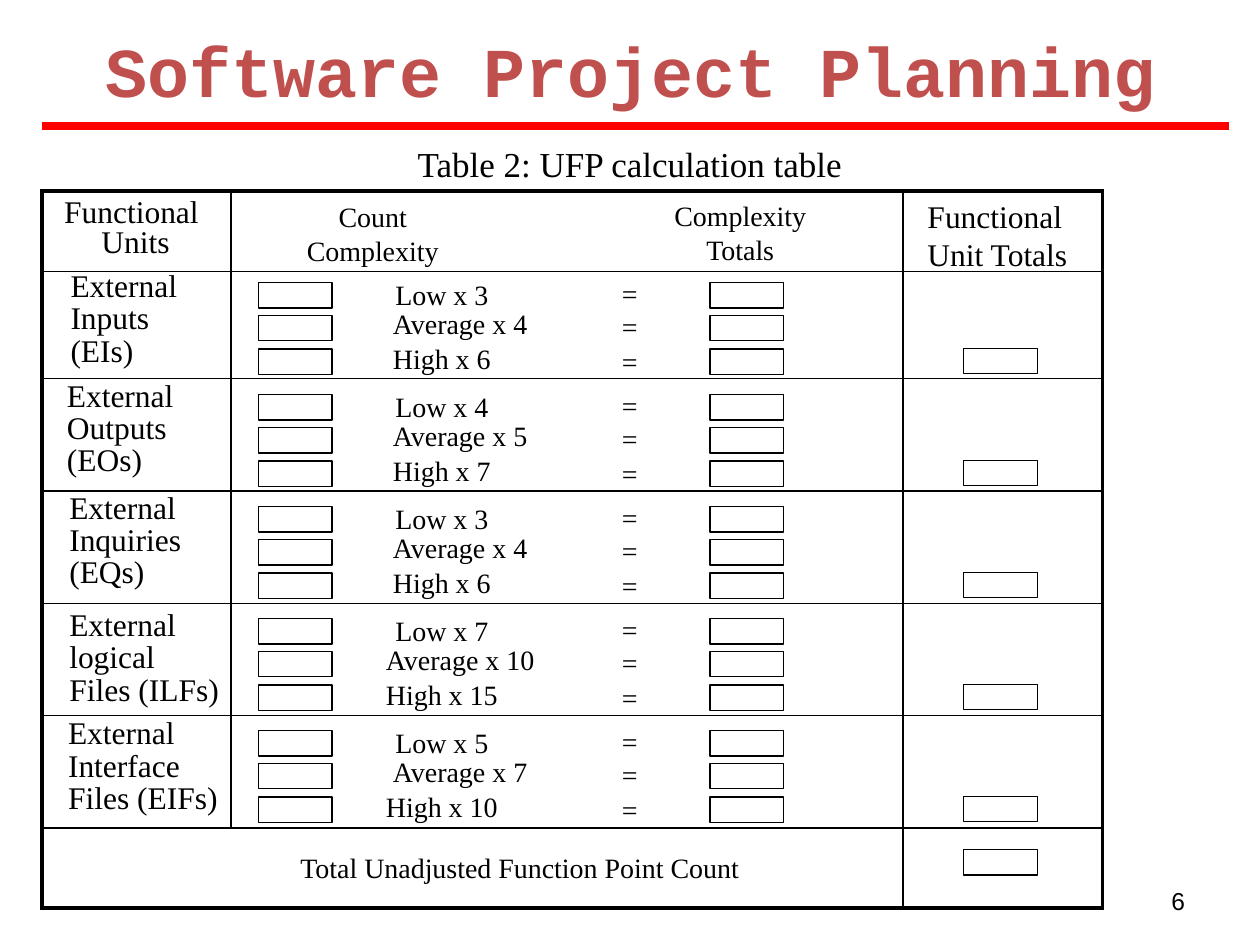
import pptx
import pptx.util
import pptx.dml.color
import pptx.enum.shapes
import pptx.enum.text
import pptx.oxml.ns
from lxml import etree

Pt = pptx.util.Pt
ALIGN = pptx.enum.text.PP_ALIGN
ANCHOR = pptx.enum.text.MSO_ANCHOR
SHAPE = pptx.enum.shapes.MSO_SHAPE
LINK = pptx.enum.shapes.MSO_CONNECTOR
COLORS = {"ink": "000000", "title": "C0504D", "rule": "FF0000"}
SERIF = "Times New Roman"
PITCH = 64
COLS = (108, 384, 114)
ROWS = (46, 61.2, 64.2, 64.2, 64.2, 64.2, 45.8)
UNITS = (
    (("External", "Inputs", "(EIs)"), (3, 4, 6), (40.3, 0.5)),
    (("External", "Outputs", "(EOs)"), (4, 5, 7), (38.2, -0.8)),
    (("External", "Inquiries", "(EQs)"), (3, 4, 6), (39.6, -0.8)),
    (("External", "logical", "Files (ILFs)"), (7, 10, 15), (39.6, 2.2)),
    (("External", "Interface", "Files (EIFs)"), (5, 7, 10), (38.9, 0)),
)
LEVELS = (
    ("Low", 216.5, 72, 3.6, 6.5, 2.8),
    ("Average", 214.7, 96.5, 20, 25.2, 22),
    ("High", 216.5, 72, 40, 44.5, 42),
)


def paint(name):
    """Return the named colour."""
    return pptx.dml.color.RGBColor.from_string(COLORS[name])


def write(slide, box, lines, size=16, align=ALIGN.CENTER, pad=0, gap=1.0,
          font=SERIF, color="ink", bold=False, anchor=ANCHOR.TOP):
    """Place lines of text in a box."""
    frame = slide.shapes.add_textbox(*map(Pt, box)).text_frame
    setup = {
        "word_wrap": True, "vertical_anchor": anchor,
        "margin_left": Pt(2 * pad), "margin_right": Pt(2 * pad),
        "margin_top": Pt(pad), "margin_bottom": Pt(pad),
    }
    for key, value in setup.items():
        setattr(frame, key, value)
    style = {"name": font, "size": Pt(size), "bold": bold}
    for num, line in enumerate(lines):
        para = frame.add_paragraph() if num else frame.paragraphs[0]
        para.alignment = align
        para.line_spacing = gap
        run = para.add_run()
        run.text = line
        for key, value in style.items():
            setattr(run.font, key, value)
        run.font.color.rgb = paint(color)


def draw_blank(slide, left, top):
    """Draw one empty entry box."""
    box = slide.shapes.add_shape(SHAPE.RECTANGLE, *map(Pt, (left, top, 42, 14.6)))
    box.shadow.inherit = False
    box.fill.background()
    box.line.color.rgb = paint("ink")
    box.line.width = Pt(0.75)


def set_edge(cell, side, width):
    """Set one border of a cell."""
    props = cell._tc.get_or_add_tcPr()
    tag = pptx.oxml.ns.qn
    edge = etree.SubElement(props, tag("a:ln" + side), w=str(Pt(width)))
    fill = etree.SubElement(edge, tag("a:solidFill"))
    etree.SubElement(fill, tag("a:srgbClr"), val=COLORS["ink"])


def draw_grid(slide, left, top):
    """Draw the ruled table with a heavy outer frame."""
    box = (left, top, sum(COLS), sum(ROWS))
    table = slide.shapes.add_table(len(ROWS), len(COLS), *map(Pt, box)).table
    table.first_row = table.horz_banding = False
    for col, width in zip(table.columns, COLS):
        col.width = Pt(width)
    for row, height in zip(table.rows, ROWS):
        row.height = Pt(height)
    last = len(ROWS) - 1
    for y in range(len(ROWS)):
        for x in range(len(COLS)):
            cell = table.cell(y, x)
            outer = {"L": x == 0, "R": x == len(COLS) - 1, "T": y == 0, "B": y == last}
            for side, heavy in outer.items():
                set_edge(cell, side, 2.25 if heavy else 1)
            cell.fill.background()
    table.cell(last, 0).merge(table.cell(last, 1))


def draw_heads(slide, left, top):
    """Write the column headings."""
    write(slide, (left + 8.4, top + 4.4, 90, 34.6), ("Functional ", "Units"), 18, gap=0.8)
    write(slide, (left + 144, top + 5, 90, 38.4), ("Count Complexity",))
    write(slide, (left + 354, top + 4.4, 90, 38.4), ("Complexity Totals",))
    write(slide, (left + 506, top + 3.6, 90, 43.2), ("Functional", "Unit Totals"), 18,
          align=ALIGN.LEFT)


def draw_unit(slide, top, names, weights, shift):
    """Draw one functional unit with its three levels."""
    across, down = shift
    write(slide, (across, top + down, 90, 55.4), names, 18, align=ALIGN.LEFT, gap=0.85)
    for level, weight in zip(LEVELS, weights):
        name, left, width, drop, blank, equal = level
        write(slide, (left, top + drop, width, 19.4), (f"{name} x {weight}",))
        write(slide, (347.8, top + equal, 24, 19.4), ("=",))
        for side in (147.8, 405.8):
            draw_blank(slide, side, top + blank)
    draw_blank(slide, 550.8, top + 44)


def draw_total(slide, left, top):
    """Write the total row."""
    write(slide, (left + 108, top + 13, 330, 19.4), ("Total Unadjusted Function Point Count",))
    draw_blank(slide, left + 526.8, top + 12.3)


def draw_title(slide, left, top):
    """Write the title, its rule and the table caption."""
    write(slide, (left, top, 672, 55.4), ("Software Project Planning",), 40, pad=3.6,
          font="Courier New", color="title", bold=True)
    ends = (left, top + 59.8, left + 678, top + 59.8)
    rule = slide.shapes.add_connector(LINK.STRAIGHT, *map(Pt, ends))
    rule.line.color.rgb = paint("rule")
    rule.line.width = Pt(4.5)
    etree.SubElement(rule._element.spPr, pptx.oxml.ns.qn("a:effectLst"))
    write(slide, (left + 6, top + 65.6, 660, 31), ("Table 2: UFP calculation table",), 20, pad=3.6)


def main():
    """Build and save the slide."""
    deck = pptx.Presentation()
    deck.slide_width, deck.slide_height = Pt(720), Pt(540)
    slide = deck.slides.add_slide(deck.slide_layouts[6])
    left, top = 24, 109.2
    draw_title(slide, left, 12.2)
    draw_grid(slide, left, top)
    draw_heads(slide, left, top)
    for num, unit in enumerate(UNITS):
        draw_unit(slide, top + 45.8 + num * PITCH, *unit)
    draw_total(slide, left, top + sum(ROWS[:-1]))
    write(slide, (516.2, 500.4, 168, 28.8), ("6",), 14, align=ALIGN.RIGHT, pad=3.6,
          font="Arial", anchor=ANCHOR.MIDDLE)
    deck.save("out.pptx")


if __name__ == "__main__":
    main()
